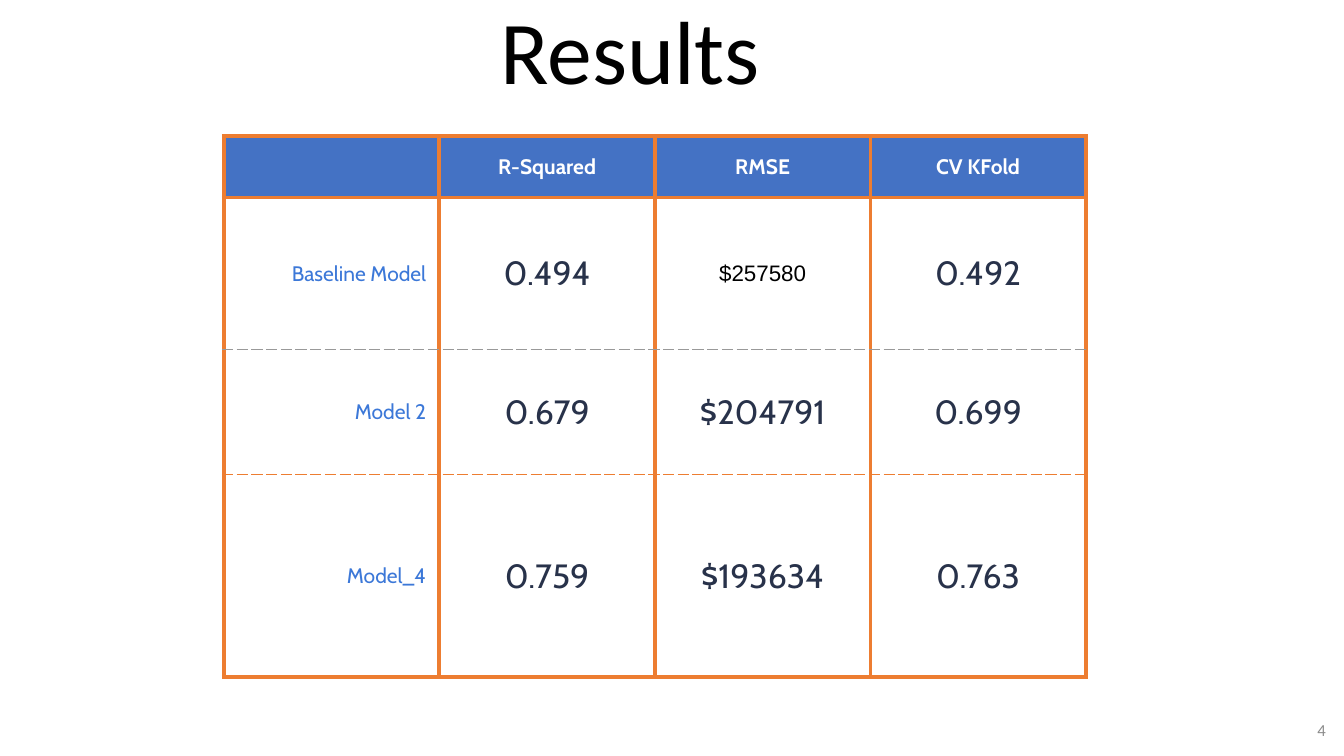
from lxml import etree
from pptx import Presentation
from pptx.dml.color import RGBColor
from pptx.enum.text import MSO_ANCHOR, PP_ALIGN
from pptx.oxml.ns import qn
from pptx.util import Inches, Pt

LEFT, CENTER, RIGHT = PP_ALIGN.LEFT, PP_ALIGN.CENTER, PP_ALIGN.RIGHT
TOP, MIDDLE, BOTTOM = MSO_ANCHOR.TOP, MSO_ANCHOR.MIDDLE, MSO_ANCHOR.BOTTOM

BLACK = RGBColor(0x00, 0x00, 0x00)
WHITE = RGBColor(0xFF, 0xFF, 0xFF)
BLUE = RGBColor(0x44, 0x72, 0xC4)
LABEL_BLUE = RGBColor(0x3C, 0x78, 0xD8)
NAVY = RGBColor(0x28, 0x32, 0x4A)
ORANGE = RGBColor(0xED, 0x7D, 0x31)
DASH_GRAY = RGBColor(0x99, 0x99, 0x99)
PAGE_GRAY = RGBColor(0x8C, 0x8C, 0x8C)

HEADERS = ["", "R-Squared", "RMSE", "CV KFold"]
RESULTS = [
    ["Baseline Model", "0.494", "$257580", "0.492"],
    ["Model 2", "0.679", "$204791", "0.699"],
    ["Model_4", "0.759", "$193634", "0.763"],
]
ROW_HEIGHTS = [0.61, 1.51, 1.24, 2.01]

# Horizontal rules from top to bottom: colour, width, dash
SOLID_RULE = (ORANGE, 3, "solid")
ROW_RULES = [SOLID_RULE, SOLID_RULE, (DASH_GRAY, 0.75, "dash"),
             (ORANGE, 0.75, "dash"), SOLID_RULE]

LABEL_STYLE = dict(size=15, color=LABEL_BLUE, align=RIGHT)
HEADER_STYLE = dict(size=15, color=WHITE, bold=True, align=CENTER)
VALUE_STYLE = dict(size=24, color=NAVY, align=CENTER)
BASELINE_RMSE_STYLE = dict(size=16, font="Arial", color=BLACK, align=CENTER)


def write_text(frame, text, size, color, font="Cabin", bold=False,
               align=LEFT, spacing=1.0):
    para = frame.paragraphs[0]
    para.alignment = align
    para.line_spacing = spacing
    span = para.add_run()
    span.text = text
    span.font.name = font
    span.font.size = Pt(size)
    span.font.bold = bold
    span.font.color.rgb = color


def add_text(page, box, text, anchor=TOP, **style):
    frame = page.shapes.add_textbox(*map(Inches, box)).text_frame
    frame.word_wrap = True
    frame.vertical_anchor = anchor
    frame.margin_left = frame.margin_right = Inches(0.13)
    frame.margin_top = frame.margin_bottom = Inches(0.13)
    write_text(frame, text, **style)


def set_border(cell, side, rule):
    color, width, dash = rule
    line = etree.SubElement(cell._tc.get_or_add_tcPr(), qn("a:" + side),
                            w=str(Pt(width)))
    fill = etree.SubElement(line, qn("a:solidFill"))
    etree.SubElement(fill, qn("a:srgbClr"), val=str(color))
    etree.SubElement(line, qn("a:prstDash"), val=dash)


def cell_style(row, column):
    if row == 0:
        return HEADER_STYLE
    if column == 0:
        return LABEL_STYLE
    if RESULTS[row - 1][column] == "$257580":
        return BASELINE_RMSE_STYLE
    return VALUE_STYLE


def format_cell(cell, row):
    cell.vertical_anchor = MIDDLE
    cell.margin_left = cell.margin_right = Inches(0.13)
    cell.margin_top = cell.margin_bottom = Inches(0.1)
    # Borders come before the fill in the cell's properties
    rules = {"lnL": SOLID_RULE, "lnR": SOLID_RULE,
             "lnT": ROW_RULES[row], "lnB": ROW_RULES[row + 1]}
    for side, rule in rules.items():
        set_border(cell, side, rule)
    if row == 0:
        cell.fill.solid()
        cell.fill.fore_color.rgb = BLUE
    else:
        cell.fill.background()


def add_results_table(page, box):
    rows = [HEADERS] + RESULTS
    table = page.shapes.add_table(len(rows), len(HEADERS),
                                  *map(Inches, box)).table
    for column in table.columns:
        column.width = Inches(box[2] / len(HEADERS))
    for row, texts in enumerate(rows):
        table.rows[row].height = Inches(ROW_HEIGHTS[row])
        for column, text in enumerate(texts):
            cell = table.cell(row, column)
            format_cell(cell, row)
            if text:
                write_text(cell.text_frame, text, **cell_style(row, column))


def main():
    deck = Presentation()
    deck.slide_width, deck.slide_height = Inches(13.33), Inches(7.5)
    page = deck.slides.add_slide(deck.slide_layouts[6])

    # Title
    add_text(page, (1.15, 0.12, 10.2, 1.04), "Results", anchor=BOTTOM,
             size=64, font="Calibri", color=BLACK, align=CENTER, spacing=0.9)
    # Model scores
    add_results_table(page, (2.22, 1.35, 8.55, sum(ROW_HEIGHTS)))
    # Page number
    add_text(page, (12.48, 7.04, 0.8, 0.46), "4", size=12, font="Calibri",
             color=PAGE_GRAY, align=RIGHT)

    deck.save("out.pptx")


if __name__ == "__main__":
    main()
